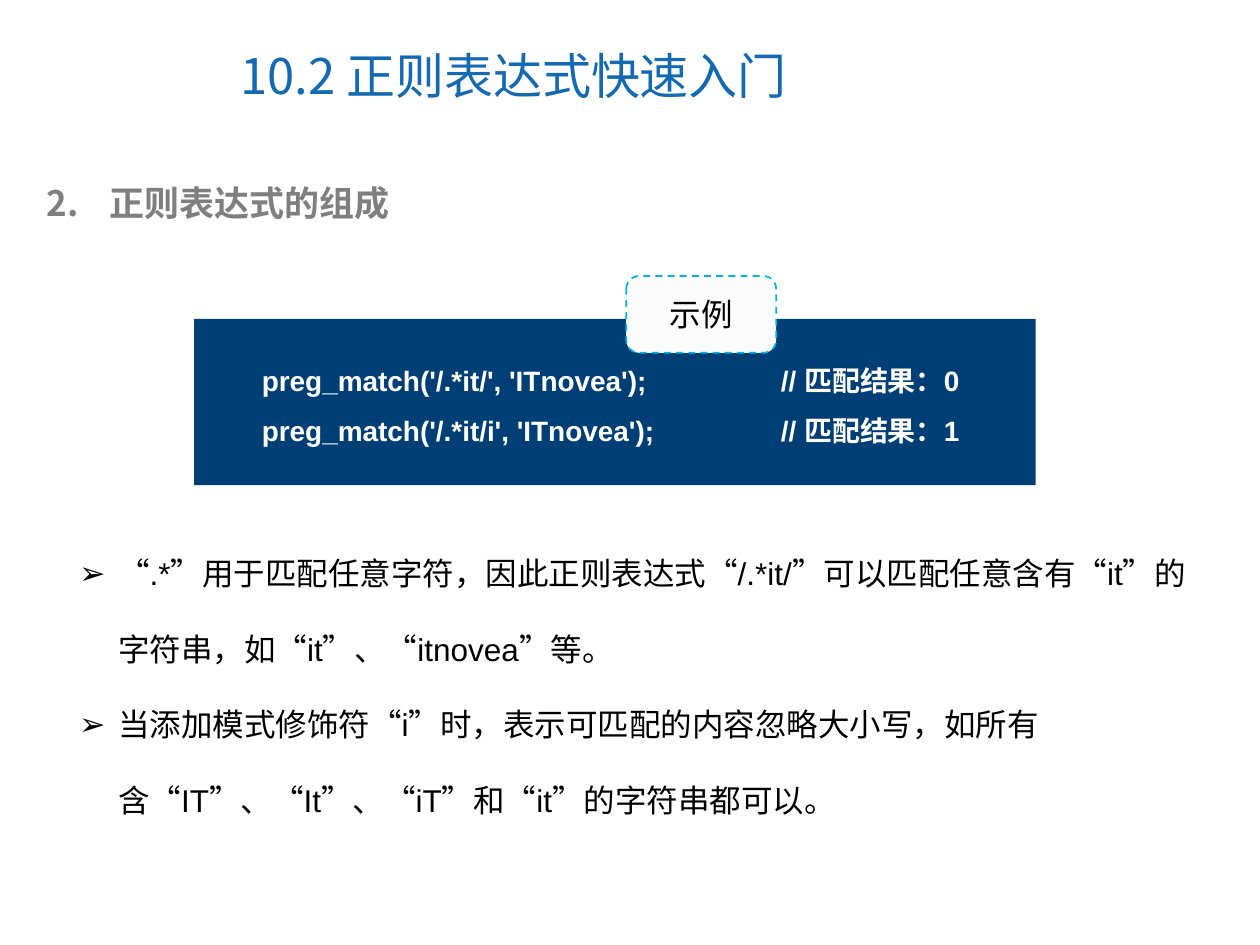
from collections import namedtuple

from lxml import etree
from pptx import Presentation
from pptx import util as u
from pptx.dml.color import RGBColor
from pptx.enum import dml, shapes, text
from pptx.oxml import ns

COLUMNS, ROWS = 100, 75
SANS, CJK = "Arial", "Noto Sans CJK SC"
BLUE, GRAY, NAVY, CYAN = "1369B2", "7F7F7F", "003F75", "00B4E9"
WHITE, PALE, BLACK = "FFFFFF", "FBFBFB", "000000"

Box = namedtuple("Box", "left top width height")

presentation = Presentation()
presentation.slide_width = u.Inches(10)
presentation.slide_height = u.Inches(7.5)
COLUMN = presentation.slide_width / COLUMNS
ROW = presentation.slide_height / ROWS


def color(hex_value):
    return RGBColor.from_string(hex_value)


def place(box):
    return (round(box.left * COLUMN), round(box.top * ROW),
            round(box.width * COLUMN), round(box.height * ROW))


def inside(box, left, top, width, height):
    return Box(box.left + left, box.top + top, width, height)


def add_element(parent, tag, **attributes):
    element = etree.SubElement(parent, ns.qn(tag))
    for name, value in attributes.items():
        element.set(name, str(value))
    return element


def add_bullet(paragraph, tag, bullet_color, bullet_font, indent, **attributes):
    properties = paragraph._p.get_or_add_pPr()
    properties.set("marL", str(u.Inches(indent)))
    properties.set("indent", str(-u.Inches(indent)))
    properties.set("hangingPunct", "0")
    fill = add_element(properties, "a:buClr")
    add_element(fill, "a:srgbClr", val=bullet_color)
    add_element(properties, "a:buFont", typeface=bullet_font)
    add_element(properties, tag, **attributes)


def add_tab(paragraph, position):
    tabs = add_element(paragraph._p.get_or_add_pPr(), "a:tabLst")
    add_element(tabs, "a:tab", pos=u.Inches(position), algn="l")


def write(frame, content, size=18, fill=BLACK, bold=False, font=SANS, spacing=None,
          align=None, anchor=text.MSO_ANCHOR.TOP, bullet=None, tab=None):
    frame.word_wrap = True
    frame.vertical_anchor = anchor
    for index, line in enumerate(content.split("\n")):
        paragraph = frame.paragraphs[0] if index == 0 else frame.add_paragraph()
        paragraph.alignment = align
        paragraph.line_spacing = spacing
        if bullet:
            add_bullet(paragraph, **bullet)
        if tab:
            add_tab(paragraph, tab)
        run = paragraph.add_run()
        run.text = line
        run.font.size = u.Pt(size)
        run.font.bold = bold
        run.font.color.rgb = color(fill)
        run.font.name = font
        properties = run._r.get_or_add_rPr()
        properties.set("lang", "zh-CN")
        add_element(properties, "a:ea", typeface=CJK)


def add_text(slide, box, content, **style):
    write(slide.shapes.add_textbox(*place(box)).text_frame, content, **style)


def add_panel(slide, kind, box, fill):
    shape = slide.shapes.add_shape(kind, *place(box))
    shape.shadow.inherit = False
    shape.fill.solid()
    shape.fill.fore_color.rgb = color(fill)
    shape.line.fill.background()
    return shape


def add_title(slide, box):
    add_text(slide, box, "10.2 正则表达式快速入门", size=28, fill=BLUE, font=CJK,
             anchor=text.MSO_ANCHOR.MIDDLE)


def add_heading(slide, box):
    number = dict(tag="a:buAutoNum", bullet_color=GRAY, bullet_font=CJK, indent=0.5,
                  type="arabicPeriod", startAt=2)
    add_text(slide, box, "正则表达式的组成", size=20, fill=GRAY, bold=True, font=CJK,
             bullet=number)


def add_example(slide, box):
    add_panel(slide, shapes.MSO_SHAPE.RECTANGLE, box, NAVY)
    code = ("preg_match('/.*it/', 'ITnovea');\t// 匹配结果：0\n"
            "preg_match('/.*it/i', 'ITnovea');\t// 匹配结果：1")
    add_text(slide, inside(box, 4.4, 1.7, 60, 9), code, size=16, fill=WHITE,
             bold=True, spacing=1.5, tab=4.12)
    label = add_panel(slide, shapes.MSO_SHAPE.ROUNDED_RECTANGLE,
                      inside(box, 34.3, -3.4, 11.9, 6.1), PALE)
    label.line.color.rgb = color(CYAN)
    label.line.width = u.Pt(1)
    label.line.dash_style = dml.MSO_LINE.DASH
    write(label.text_frame, "示例", align=text.PP_ALIGN.CENTER,
          anchor=text.MSO_ANCHOR.MIDDLE)


def add_notes_list(slide, box):
    arrow = dict(tag="a:buChar", bullet_color=BLACK, bullet_font=SANS, indent=0.31,
                 char="➢")
    points = ("“.*”用于匹配任意字符，因此正则表达式“/.*it/”可以匹配任意含有“it”的字符串，"
              "如“it”、“itnovea”等。\n"
              "当添加模式修饰符“i”时，表示可匹配的内容忽略大小写，如所有含“IT”、“It”、“iT”和“it”"
              "的字符串都可以。")
    add_text(slide, box, points, spacing=2, bullet=arrow)


def main():
    slide = presentation.slides.add_slide(presentation.slide_layouts[6])
    add_title(slide, Box(18.1, 1.7, 51.6, 8.5))
    add_heading(slide, Box(2.7, 13.9, 92.2, 4.4))
    add_example(slide, Box(15.4, 25.3, 66.8, 13.2))
    add_notes_list(slide, Box(5.3, 40.5, 91.9, 25))
    presentation.save("out.pptx")


if __name__ == "__main__":
    main()
